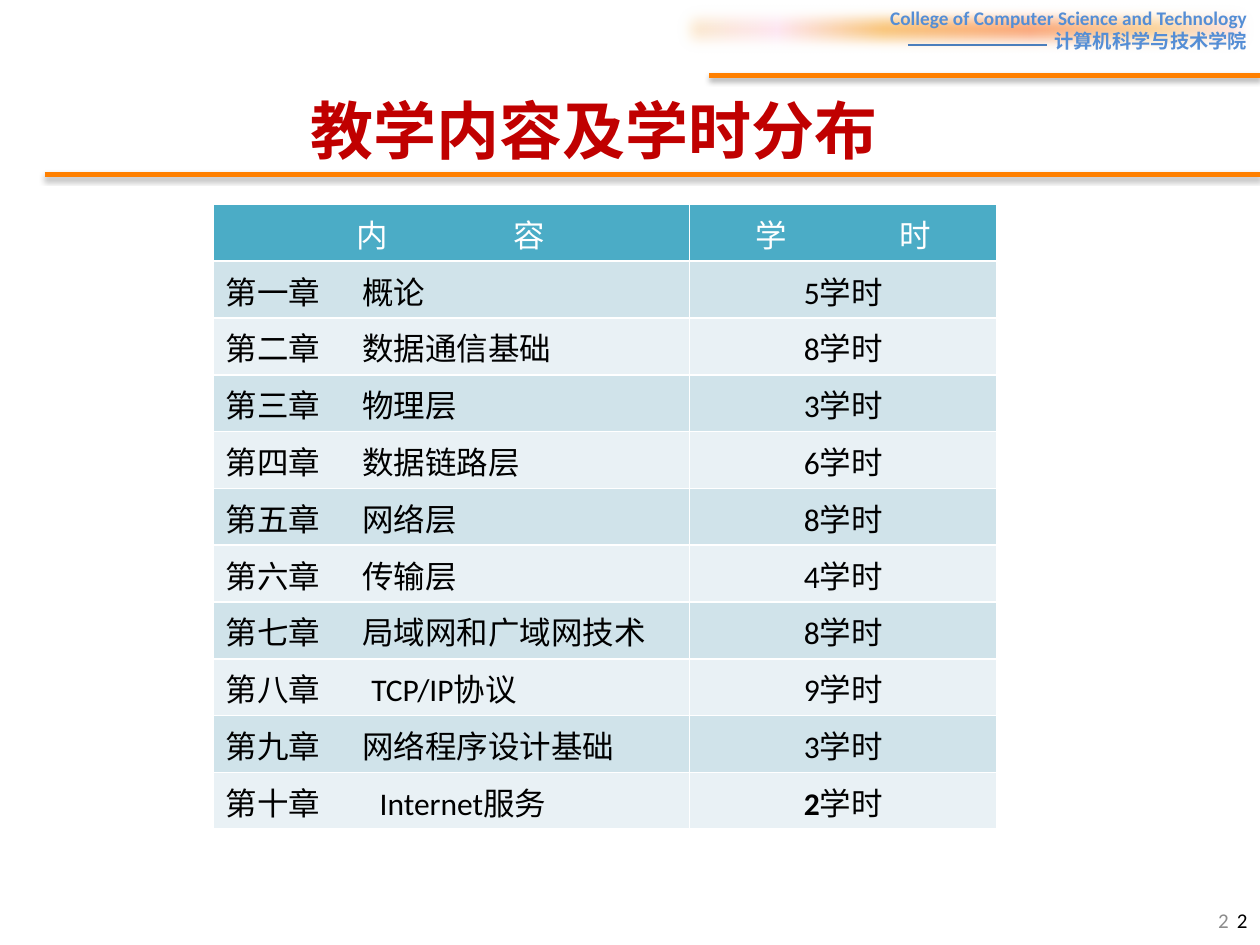
from dataclasses import dataclass

from lxml import etree
from pptx import Presentation
from pptx.dml.color import RGBColor
from pptx.enum.shapes import MSO_CONNECTOR, MSO_SHAPE
from pptx.enum.text import MSO_ANCHOR, PP_ALIGN
from pptx.oxml.ns import qn
from pptx.util import Cm, Pt

LEFT, MID, RIGHT = PP_ALIGN.LEFT, PP_ALIGN.CENTER, PP_ALIGN.RIGHT
TOP, CENTER = MSO_ANCHOR.TOP, MSO_ANCHOR.MIDDLE
RECT, LINE = MSO_SHAPE.RECTANGLE, MSO_CONNECTOR.STRAIGHT


@dataclass(frozen=True)
class Theme:
    latin: str = "Calibri"
    asian: str = "Noto Sans CJK SC"
    white: str = "FFFFFF"
    black: str = "000000"
    gray: str = "8C8C8C"
    title: str = "C00000"
    school: str = "558ED5"
    thin: str = "4B7EBC"
    rule: str = "FF8000"
    head: str = "4BACC6"
    bands: tuple = ("D0E3EA", "E9F1F5")
    glow: tuple = ((0, "FBEAC7"), (18, "FEE7F2"), (36, "FAC77D"),
                   (61, "FBA97D"), (82, "FBD49C"), (100, "FEE7F2"))
    big: int = 36
    body: int = 18
    note: int = 12
    small: int = 11


THEME = Theme()
HEADS = [("内\t容", 2.88, 3.18), ("学\t时", 1.33, 2.9)]
ROWS = [
    ("第一章\t概论", "5学时", 2.75),
    ("第二章\t数据通信基础", "8学时", 2.75),
    ("第三章\t物理层", "3学时", 2.75),
    ("第四章\t数据链路层", "6学时", 2.75),
    ("第五章\t网络层", "8学时", 2.75),
    ("第六章\t传输层", "4学时", 2.75),
    ("第七章\t局域网和广域网技术", "8学时", 2.75),
    ("第八章\tTCP/IP协议", "9学时", 2.93),
    ("第九章\t网络程序设计基础", "3学时", 2.75),
    ("第十章\tInternet服务", "2学时", 3.1),
]


def rgb(code):
    return RGBColor.from_string(code)


def node(parent, tag, **attrs):
    return etree.SubElement(parent, qn("a:" + tag),
                            {key: str(val) for key, val in attrs.items()})


def style(frame, size, color, align=LEFT, bold=False, latin=THEME.latin):
    for para in frame.paragraphs:
        para.alignment = align
        for run in para.runs:
            font = run.font
            font.size, font.bold, font.name = Pt(size), bold, latin
            font.color.rgb = rgb(color)
            node(run._r.get_or_add_rPr(), "ea", typeface=THEME.asian)


def set_tab(frame, pos):
    props = frame.paragraphs[0]._p.get_or_add_pPr()
    node(node(props, "tabLst"), "tab", pos=Cm(pos), algn="l")


def add_text(slide, text, area, size, color, align, anchor=TOP, **extra):
    box = slide.shapes.add_textbox(*map(Cm, area))
    frame = box.text_frame
    frame.text = text
    frame.word_wrap = True
    frame.vertical_anchor = anchor
    style(frame, size, color, align, **extra)
    return frame


def add_banner(slide):
    shape = slide.shapes.add_shape(RECT, Cm(13.54), 0, Cm(11.86), Cm(1.19))
    shape.shadow.inherit = False
    shape.line.fill.background()
    shape.fill.gradient()
    shape.fill.gradient_angle = 0
    stops = shape._element.spPr.find(".//" + qn("a:gsLst"))
    stops.clear()
    for pos, color in THEME.glow:
        node(node(stops, "gs", pos=pos * 1000), "srgbClr", val=color)
    effects = shape._element.spPr.find(qn("a:effectLst"))
    node(effects, "softEdge", rad=Pt(9))
    frame = shape.text_frame
    frame.word_wrap = True
    frame.vertical_anchor = TOP
    frame.text = "College of Computer Science and Technology\n计算机科学与技术学院"
    style(frame, THEME.small, THEME.school, RIGHT, bold=True)


def add_rule(slide, start, end, top, color, width, shade=False):
    line = slide.shapes.add_connector(LINE, Cm(start), Cm(top), Cm(end), Cm(top))
    line.line.color.rgb = rgb(color)
    line.line.width = Pt(width)
    effects = node(line._element.spPr, "effectLst")
    if shade:
        shadow = node(effects, "outerShdw", blurRad=Pt(3.1), dist=Pt(1.8),
                      dir=5400000, rotWithShape=0)
        node(node(shadow, "srgbClr", val=THEME.black), "alpha", val=35000)


def paint(cell, color):
    props = cell._tc.get_or_add_tcPr()
    for side in ("lnL", "lnR", "lnT", "lnB"):
        edge = node(props, side, w=Pt(1))
        node(node(edge, "solidFill"), "srgbClr", val=THEME.white)
    cell.fill.solid()
    cell.fill.fore_color.rgb = rgb(color)


def fill_cell(cell, text, back, color, align=LEFT, tab=None):
    cell.text = text
    if tab:
        set_tab(cell.text_frame, tab)
    style(cell.text_frame, THEME.body, color, align)
    paint(cell, back)


def add_plan(slide):
    count = len(ROWS) + 1
    table = slide.shapes.add_table(count, 2, Cm(4.3), Cm(4.12),
                                   Cm(15.8), Cm(12.6)).table
    table.first_row = table.horz_banding = False
    for col, width in zip(table.columns, (9.6, 6.2)):
        col.width = Cm(width)
    for col, (text, inset, tab) in enumerate(HEADS):
        cell = table.cell(0, col)
        fill_cell(cell, text, THEME.head, THEME.white, tab=tab)
        cell.margin_left = Cm(inset)
    for row, (topic, hours, tab) in enumerate(ROWS, 1):
        back = THEME.bands[(row - 1) % 2]
        fill_cell(table.cell(row, 0), topic, back, THEME.black, tab=tab)
        fill_cell(table.cell(row, 1), hours, back, THEME.black, MID)
    para = table.cell(count - 1, 1).text_frame.paragraphs[0]
    digit, unit = para.runs[0], para.add_run()
    digit.text, unit.text = hours[0], hours[1:]
    style(table.cell(count - 1, 1).text_frame, THEME.body, THEME.black, MID)
    digit.font.bold = True


def main():
    deck = Presentation()
    deck.slide_width, deck.slide_height = Cm(25.4), Cm(19.05)
    slide = deck.slides.add_slide(deck.slide_layouts[6])
    add_banner(slide)
    add_rule(slide, 18.3, 21.1, 0.91, THEME.thin, 0.75)
    for start, top in ((0.9, 3.52), (14.3, 1.52)):
        add_rule(slide, start, 25.4, top, THEME.rule, 3, shade=True)
    title = add_text(slide, "教学内容及学时分布", (3.91, 1.73, 16.79, 1.8),
                     THEME.big, THEME.title, MID, bold=True, latin=THEME.asian)
    title.margin_right = Cm(0.89)
    for left, color in ((19.1, THEME.gray), (19.48, THEME.black)):
        add_text(slide, "2", (left, 18.03, 5.92, 1.02), THEME.note, color,
                 RIGHT, CENTER)
    add_plan(slide)
    deck.save("out.pptx")


if __name__ == "__main__":
    main()
